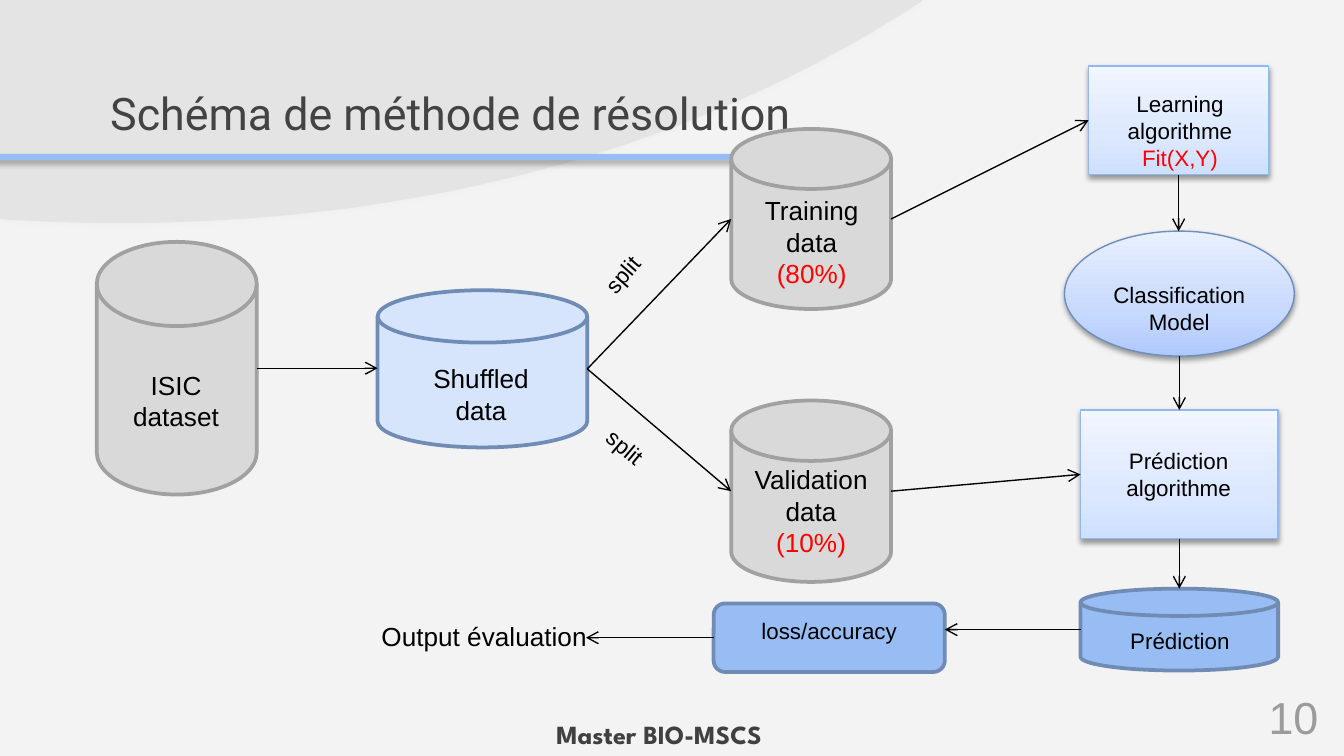
from copy import deepcopy
from lxml.etree import SubElement
from pptx import Presentation
from pptx.dml.color import RGBColor
from pptx.enum.shapes import MSO_CONNECTOR, MSO_SHAPE as Preset
from pptx.enum.text import MSO_ANCHOR as Anchor, PP_ALIGN as Align
from pptx.oxml.ns import qn
from pptx.util import Inches, Pt

BACKGROUND = RGBColor(0xF3, 0xF3, 0xF3)
SWOOSH = RGBColor(0xE5, 0xE4, 0xE4)
TITLE = RGBColor(0x43, 0x43, 0x43)
FOOTER = RGBColor(0x40, 0x40, 0x40)
NUMBER = RGBColor(0x9B, 0x9B, 0x9B)
BLACK = RGBColor(0, 0, 0)
RED = RGBColor(0xFF, 0, 0)
GRAY = RGBColor(0xD9, 0xD9, 0xD9)
GRAY_EDGE = RGBColor(0xA1, 0xA1, 0xA1)
PALE = RGBColor(0xD6, 0xE5, 0xFB)
BLUE = RGBColor(0x98, 0xBD, 0xF4)
BLUE_EDGE = RGBColor(0x70, 0x8C, 0xB5)
BOX_EDGE = RGBColor(0x92, 0xB8, 0xF1)
OVAL_EDGE = RGBColor(0x6E, 0x8E, 0xC0)
BOX_GRADIENT = [(0, RGBColor(0xCE, 0xE0, 0xFF)), (0.35, RGBColor(0xDC, 0xE8, 0xFF)),
                (1, RGBColor(0xF1, 0xF6, 0xFF))]
OVAL_GRADIENT = [(0, RGBColor(0xAF, 0xC9, 0xFD)), (0.35, RGBColor(0xC7, 0xD9, 0xFD)),
                 (1, RGBColor(0xE9, 0xF0, 0xFF))]

DISK = Preset.FLOWCHART_MAGNETIC_DISK
NODES = {
    "dataset": (DISK, (0.72, 1.8, 1.19, 1.88), GRAY, GRAY_EDGE),
    "shuffled": (DISK, (2.81, 2.16, 1.56, 1.17), PALE, BLUE_EDGE),
    "training": (DISK, (5.44, 0.96, 1.19, 1.34), GRAY, GRAY_EDGE),
    "validation": (DISK, (5.44, 2.98, 1.19, 1.35), GRAY, GRAY_EDGE),
    "learning": (Preset.RECTANGLE, (8.1, 0.49, 1.34, 0.81), BOX_GRADIENT, BOX_EDGE),
    "model": (Preset.OVAL, (7.92, 1.72, 1.71, 0.93), OVAL_GRADIENT, OVAL_EDGE),
    "predictor": (Preset.RECTANGLE, (8.04, 3.05, 1.47, 0.96), BOX_GRADIENT, BOX_EDGE),
    "prediction": (DISK, (8.04, 4.38, 1.47, 0.61), BLUE, BLUE_EDGE),
    "loss": (Preset.ROUNDED_RECTANGLE, (5.31, 4.49, 1.72, 0.51), BLUE, BLUE_EDGE),
}
ARROWS = [
    ("dataset", "right", "shuffled", "left"),
    ("shuffled", "right", "training", "left"),
    ("shuffled", "right", "validation", "left"),
    ("training", "right", "learning", "left"),
    ("learning", "bottom", "model", "top"),
    ("model", "bottom", "predictor", "top"),
    ("validation", "right", "predictor", "left"),
    ("predictor", "bottom", "prediction", "top"),
    ("prediction", "left", "loss", "right"),
]
OUTPUT_TIP_LEFT = 4.36
LABELS = [
    (["ISIC dataset"], (0.77, 2.7, 1.08, 0.57), {"size": 14}),
    (["Shuffled data"], (2.95, 2.65, 1.26, 0.57), {"size": 14}),
    (["Training data", ("(80%)", RED)], (5.56, 1.4, 0.96, 0.81), {"size": 14}),
    (["Validation data", ("(10%)", RED)], (5.49, 3.4, 1.09, 0.81), {"size": 14}),
    (["Learning algorithme", ("Fit(X,Y)", RED)], (8.22, 0.62, 1.12, 0.71), {}),
    (["Prédiction algorithme"], (8.25, 3.28, 1.04, 0.5), {}),
    (["Classification Model"], (8.16, 2.04, 1.23, 0.5), {}),
    (["Prédiction"], (8.2, 4.62, 1.16, 0.3), {}),
    (["Output évaluation"], (2.74, 4.57, 1.94, 0.34), {"size": 14, "align": Align.LEFT}),
    (["loss/accuracy"], (5.47, 4.54, 1.4, 0.3), {}),
    (["split"], (4.36, 1.84, 0.63, 0.3), {"align": Align.LEFT, "rotation": 311.2}),
    (["split"], (4.39, 3.22, 0.63, 0.3), {"align": Align.LEFT, "rotation": 40.2}),
    (["10"], (9.26, 4.38, 0.73, 1.25),
     {"size": 24, "color": NUMBER, "anchor": Anchor.BOTTOM, "inset": 0.1}),
    (["Master BIO-MSCS"], (2.27, 5.3, 5.27, 0.4),
     {"size": 14, "font": "League Spartan", "color": FOOTER, "bold": True}),
]
SWOOSH_START = (0.89, 1.66)
SWOOSH_LEFT = [(-0.75, 1.66), (-2.13, 1.37), (-2.87, 1.17)]
SWOOSH_RIGHT = [(4.9, 1.29), (2.73, 1.66), SWOOSH_START]
CURVE_STEPS = 30
UNITS_PER_INCH = 1000


def set_effects(shape, shadow=None):
    properties = shape._element.spPr
    effects = properties.find(qn("a:effectLst"))
    if effects is None:
        effects = SubElement(properties, qn("a:effectLst"))
    if shadow:
        opacity, blur, distance, angle = shadow
        outer = SubElement(effects, qn("a:outerShdw"), blurRad=str(Pt(blur)),
                           dist=str(Pt(distance)), dir=str(angle * 60000),
                           algn="bl", rotWithShape="0")
        color = SubElement(outer, qn("a:srgbClr"), val="000000")
        SubElement(color, qn("a:alpha"), val=str(opacity * 1000))


def fill_gradient(shape, stops):
    shape.fill.gradient()
    shape.fill.gradient_angle = 90
    stop_list = shape._element.spPr.find(qn("a:gradFill")).find(qn("a:gsLst"))
    stop_list.insert(1, deepcopy(stop_list[0]))
    for stop, (position, color) in zip(shape.fill.gradient_stops, stops):
        stop.position = position
        stop.color.rgb = color


def write_text(shape, paragraphs, size=12, font="Arial", color=BLACK, bold=False,
               align=Align.CENTER, anchor=Anchor.TOP, inset=None, rotation=0):
    shape.rotation = rotation
    frame = shape.text_frame
    frame.word_wrap = True
    frame.vertical_anchor = anchor
    if inset is not None:
        frame.margin_left = frame.margin_right = Inches(inset)
        frame.margin_top = frame.margin_bottom = Inches(inset)
    for index, item in enumerate(paragraphs):
        text, text_color = item if isinstance(item, tuple) else (item, color)
        paragraph = frame.add_paragraph() if index else frame.paragraphs[0]
        paragraph.alignment = align
        run = paragraph.add_run()
        run.text = text
        run.font.size = Pt(size)
        run.font.name = font
        run.font.bold = bold
        run.font.color.rgb = text_color


def add_line(slide, start, end, color=BLACK, width=0.75, arrow=True, shadow=None):
    points = [Inches(value) for value in (*start, *end)]
    line = slide.shapes.add_connector(MSO_CONNECTOR.STRAIGHT, *points)
    line.line.color.rgb = color
    line.line.width = Pt(width)
    if arrow:
        SubElement(line.line._get_or_add_ln(), qn("a:tailEnd"), type="arrow")
    set_effects(line, shadow)


def add_node(slide, preset, box, fill, edge):
    shape = slide.shapes.add_shape(preset, *map(Inches, box))
    shape.shadow.inherit = False
    shape.line.color.rgb = edge
    if isinstance(fill, list):
        fill_gradient(shape, fill)
        shape.line.width = Pt(0.75)
        set_effects(shape, (38, 3.1, 1.6, 90))
    else:
        shape.fill.solid()
        shape.fill.fore_color.rgb = fill
        shape.line.width = Pt(2)


def side_point(name, side):
    left, top, width, height = NODES[name][1]
    across, down = {"left": (0, 0.5), "right": (1, 0.5),
                    "top": (0.5, 0), "bottom": (0.5, 1)}[side]
    return left + across * width, top + down * height


def curve_points(start, controls):
    points = [start, *controls]
    for step in range(1, CURVE_STEPS + 1):
        t = step / CURVE_STEPS
        weights = ((1 - t) ** 3, 3 * t * (1 - t) ** 2, 3 * t * t * (1 - t), t ** 3)
        yield tuple(sum(weight * point[axis] for weight, point in zip(weights, points))
                    for axis in (0, 1))


def add_swoosh(slide):
    corners = [(-2.87, 0), (6.86, 0), (6.86, 0.01)]
    outline = [SWOOSH_START, *curve_points(SWOOSH_START, SWOOSH_LEFT), *corners,
               *curve_points(corners[-1], SWOOSH_RIGHT)]
    points = [(round(x * UNITS_PER_INCH), round(y * UNITS_PER_INCH)) for x, y in outline]
    builder = slide.shapes.build_freeform(*points[0], scale=Inches(1) / UNITS_PER_INCH)
    builder.add_line_segments(points[1:])
    swoosh = builder.convert_to_shape()
    swoosh.shadow.inherit = False
    swoosh.fill.solid()
    swoosh.fill.fore_color.rgb = SWOOSH
    swoosh.line.fill.background()
    set_effects(swoosh, (4, 4.5, 1.5, 276))


def main():
    presentation = Presentation()
    presentation.slide_width = Inches(10)
    presentation.slide_height = Inches(10) * 9 // 16
    slide = presentation.slides.add_slide(presentation.slide_layouts[5])
    slide.background.fill.solid()
    slide.background.fill.fore_color.rgb = BACKGROUND

    add_swoosh(slide)
    title = slide.shapes.title
    title.left, title.top, title.width, title.height = map(Inches, (0.72, 0.54, 8.84, 0.63))
    write_text(title, ["Schéma de méthode de résolution"], size=24, font="Roboto",
               color=TITLE, align=Align.LEFT, inset=0.1)
    slide.shapes._spTree.append(title._element)
    add_line(slide, (-0.25, 1.17), (5.79, 1.17), color=BLUE, width=3, arrow=False,
             shadow=(35, 3.1, 1.8, 90))

    for node in NODES.values():
        add_node(slide, *node)
    for source, source_side, target, target_side in ARROWS:
        start, end = side_point(source, source_side), side_point(target, target_side)
        end = [a if abs(a - b) < 0.08 else b for a, b in zip(start, end)]
        add_line(slide, start, end)
    output_start = side_point("loss", "left")
    add_line(slide, output_start, (OUTPUT_TIP_LEFT, output_start[1]))
    for paragraphs, box, style in LABELS:
        write_text(slide.shapes.add_textbox(*map(Inches, box)), paragraphs, **style)
    presentation.save("out.pptx")


if __name__ == "__main__":
    main()
